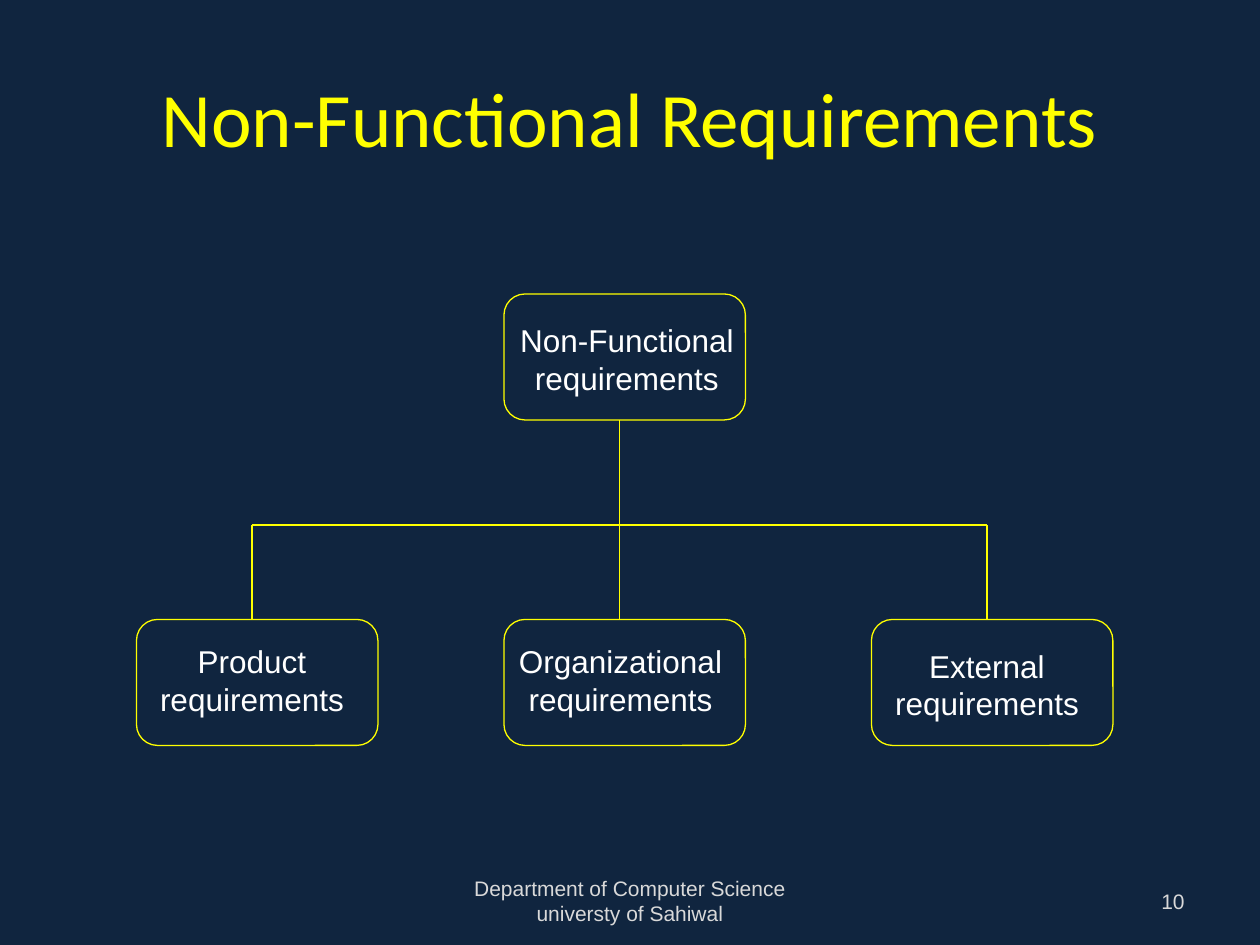
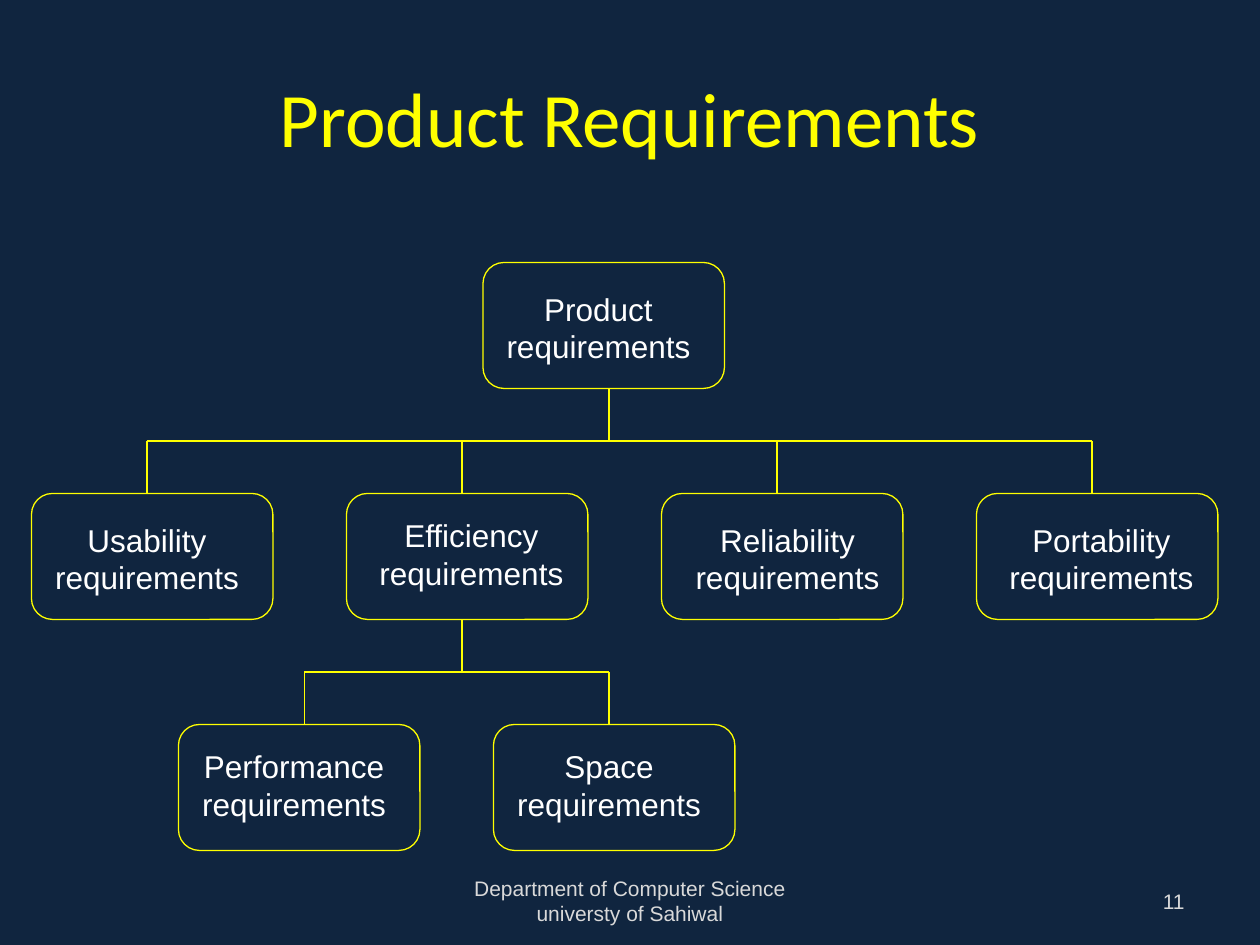
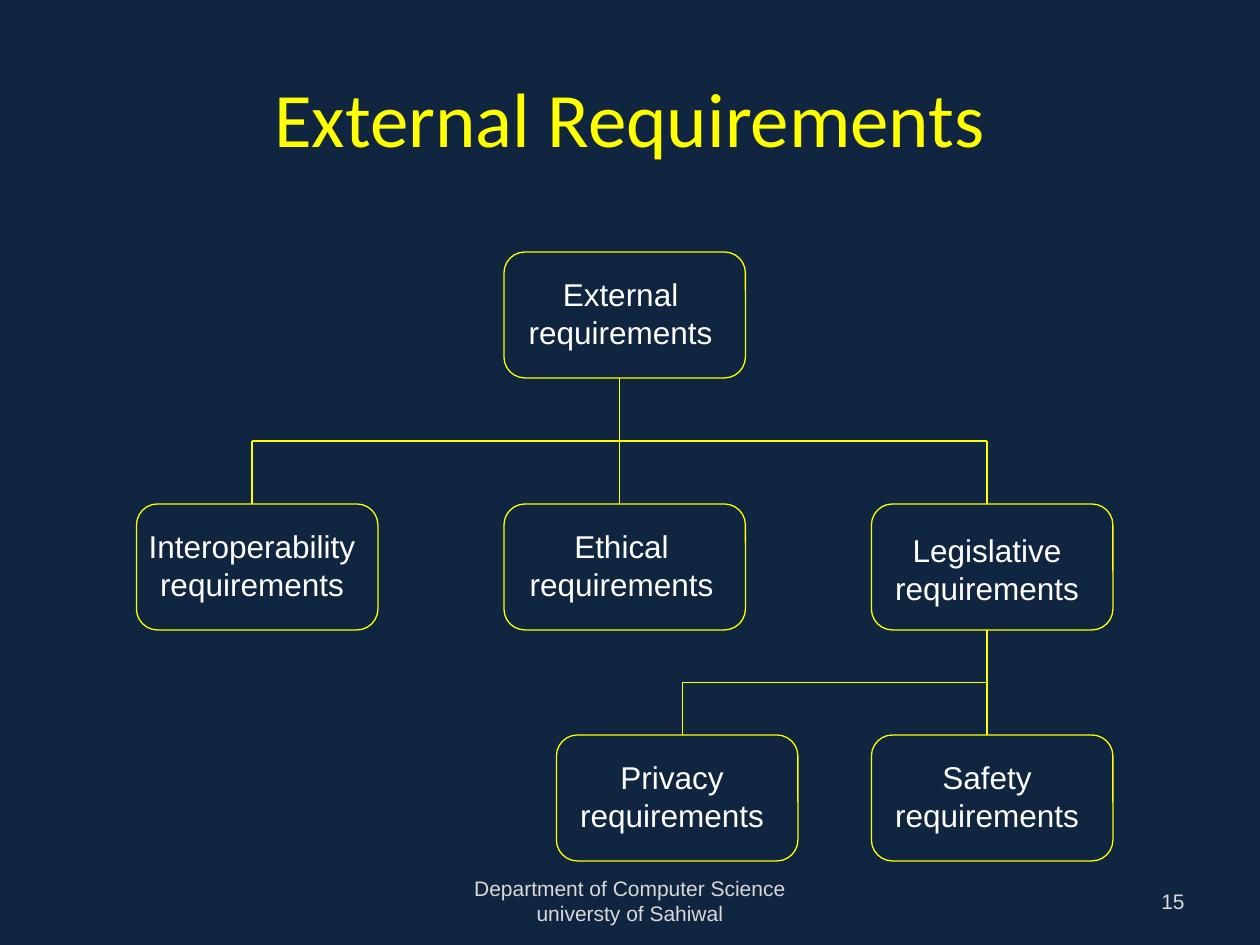
from pptx import Presentation
from pptx.dml.color import RGBColor
from pptx.enum.shapes import MSO_CONNECTOR, MSO_SHAPE
from pptx.enum.text import MSO_ANCHOR, MSO_AUTO_SIZE, PP_ALIGN
from pptx.oxml import parse_xml
from pptx.oxml.ns import nsdecls
from pptx.util import Emu, Pt

# Scale: 120 px to the inch
SCALE = 7620
WIDE, HIGH = 1200, 900

# Colours
NAVY = RGBColor(0x10, 0x25, 0x3F)
YELLOW = RGBColor(0xFF, 0xFF, 0x00)
WHITE = RGBColor(0xFF, 0xFF, 0xFF)
GREY = RGBColor(0xD9, 0xD9, 0xD9)

# Text styles
TITLE = {"name": "Calibri", "size": Pt(44)}
LABEL = {"name": "Arial", "size": Pt(18)}
SMALL = {"name": "Arial", "size": Pt(12)}
MIDDLE = {"word_wrap": True, "vertical_anchor": MSO_ANCHOR.MIDDLE}
GROW = {"word_wrap": False, "auto_size": MSO_AUTO_SIZE.SHAPE_TO_FIT_TEXT}

# Tree boxes
BOX_W, BOX_H = 230, 120
LABEL_W, LABEL_H = 202, 84
FOOTER = "Department of Computer Science universty of Sahiwal"


def px(*values):
    return [Emu(value * SCALE) for value in values]


def put(target, values):
    for name, value in values.items():
        setattr(target, name, value)


class Deck:
    def __init__(self):
        self.show = Presentation()
        self.show.slide_width, self.show.slide_height = px(WIDE, HIGH)
        self.slide = None

    def page(self, title, number):
        """Start a slide with its title, footer and number."""
        self.slide = self.show.slides.add_slide(self.show.slide_layouts[6])
        fill = self.slide.background.fill
        fill.solid()
        fill.fore_color.rgb = NAVY
        self.text([title], (60, 36, 1080, 150), TITLE, YELLOW)
        self.text([FOOTER], (410, 834, 380, 48), SMALL, GREY)
        self.text([str(number)], (860, 834, 280, 48), SMALL, GREY,
                  align=PP_ALIGN.RIGHT)

    def text(self, lines, area, font, colour, frame=MIDDLE,
             align=PP_ALIGN.CENTER):
        body = self.slide.shapes.add_textbox(*px(*area)).text_frame
        put(body, frame)
        body.text = "\n".join(lines)
        for para in body.paragraphs:
            para.alignment = align
            put(para.font, font)
            para.font.color.rgb = colour

    def pen(self, line):
        line.color.rgb = YELLOW
        line.width = Pt(0.75)

    def node(self, word, x, y, mid=110, drop=16, wide=LABEL_W):
        """Draw a box; its label is centred mid px in and drop px down."""
        box = self.slide.shapes.add_shape(
            MSO_SHAPE.ROUNDED_RECTANGLE, *px(x, y, BOX_W, BOX_H))
        box.shadow.inherit = False
        box.fill.background()
        self.pen(box.line)
        area = (x + mid - wide // 2, y + drop, wide, LABEL_H)
        self.text([word, "requirements"], area, LABEL, WHITE, GROW)

    def line(self, *ends):
        link = self.slide.shapes.add_connector(
            MSO_CONNECTOR.STRAIGHT, *px(*ends))
        self.pen(link.line)
        link._element.spPr.append(
            parse_xml(f"<a:effectLst {nsdecls('a')}/>"))

    def branch(self, stem, top, bar, base, drops):
        """Join a parent at (stem, top) to children at (drops, base)."""
        self.line(stem, top, stem, bar)
        self.line(drops[0], bar, drops[-1], bar)
        for x in drops:
            self.line(x, bar, x, base)

    def row(self, y, start, step, nodes):
        """Place nodes at equal steps along one level."""
        for spot, (word, *tune) in enumerate(nodes):
            self.node(word, start + spot * step, y, *tune)


def main():
    deck = Deck()
    thirds = range(240, 941, 350)

    # Non-functional requirements
    deck.page("Non-Functional Requirements", 10)
    deck.branch(590, 400, 500, 590, thirds)
    deck.node("Non-Functional", 480, 280, 117, 20, 234)
    deck.row(590, 130, 350, [
        ("Product",), ("Organizational", 111, 16, 222), ("External", 110, 20)])

    # Product requirements
    deck.page("Product Requirements", 11)
    deck.branch(580, 370, 420, 470, range(140, 1041, 300))
    deck.branch(440, 590, 640, 690, (290, 580))
    deck.node("Product", 460, 250, 110, 20)
    deck.row(470, 30, 300, [
        ("Usability", 110, 20), ("Efficiency", 119),
        ("Reliability", 120, 20), ("Portability", 119, 20)])
    deck.row(690, 170, 300, [("Performance",), ("Space",)])

    # External requirements
    deck.page("External Requirements", 15)
    deck.branch(590, 360, 420, 480, thirds)
    deck.branch(940, 600, 650, 700, (650, 940))
    deck.node("External", 480, 240, 111)
    deck.row(480, 130, 350, [
        ("Interoperability", 110, 16, 226), ("Ethical", 112),
        ("Legislative", 110, 20)])
    deck.row(700, 530, 300, [("Privacy",), ("Safety",)])

    deck.show.save("out.pptx")


if __name__ == "__main__":
    main()
